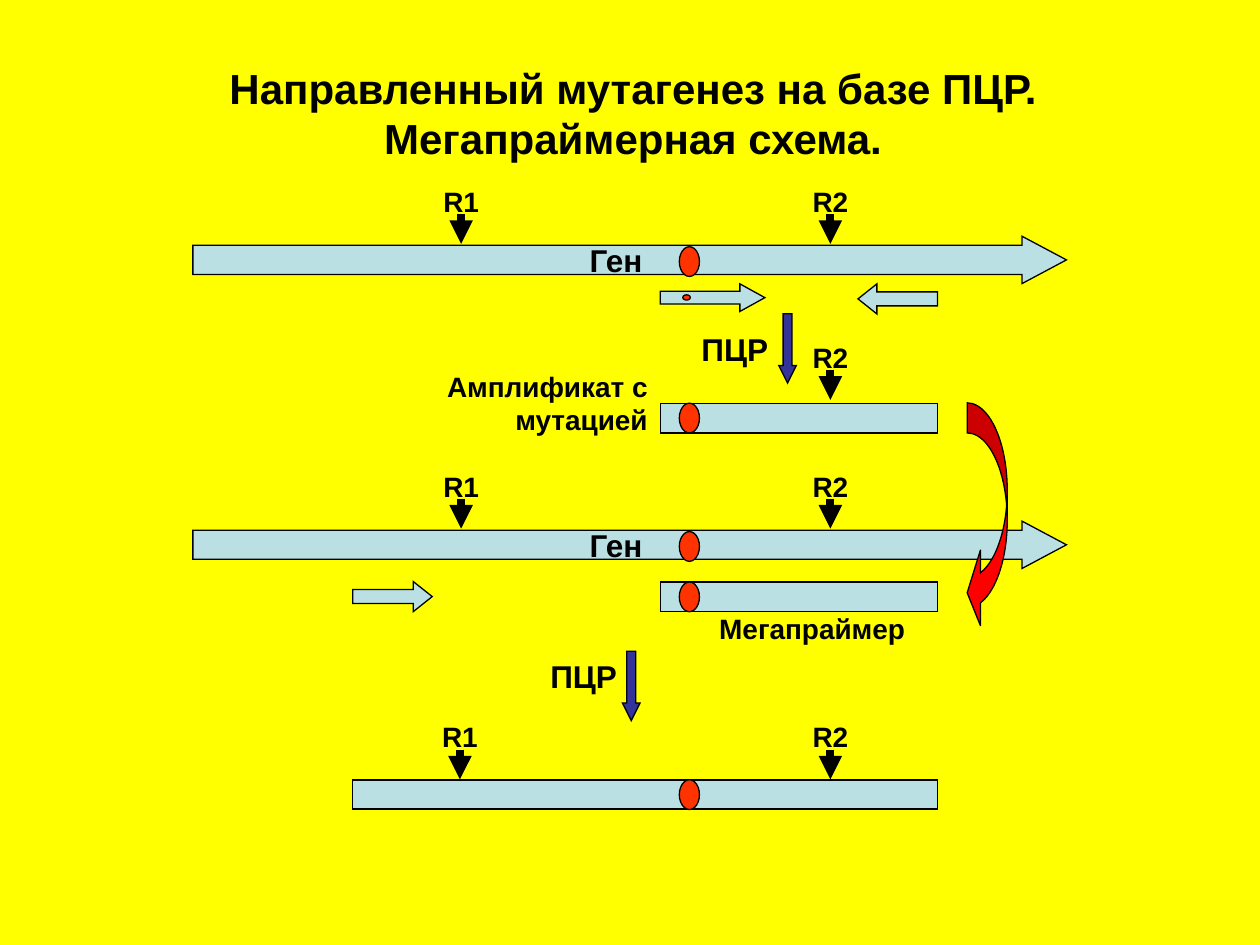
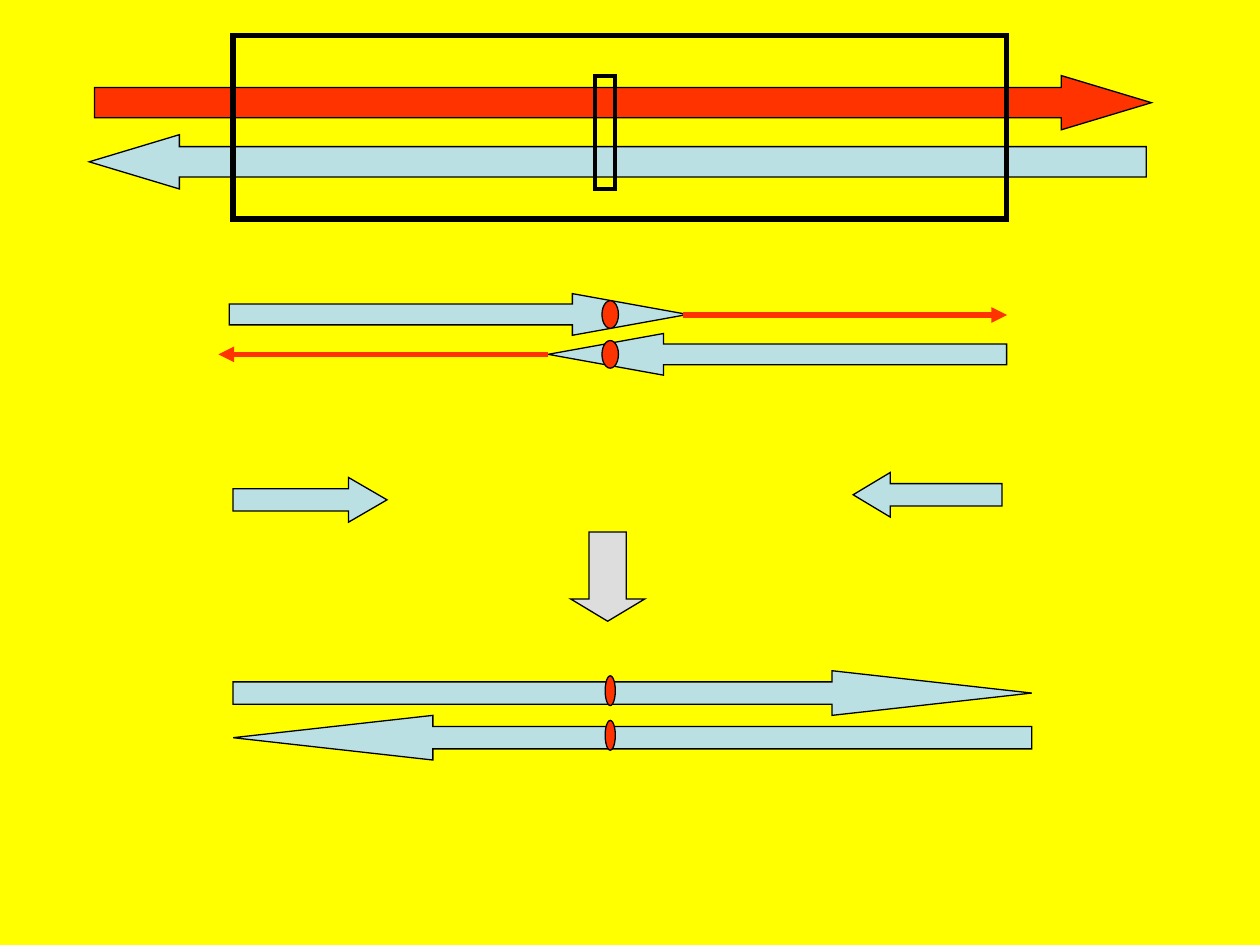
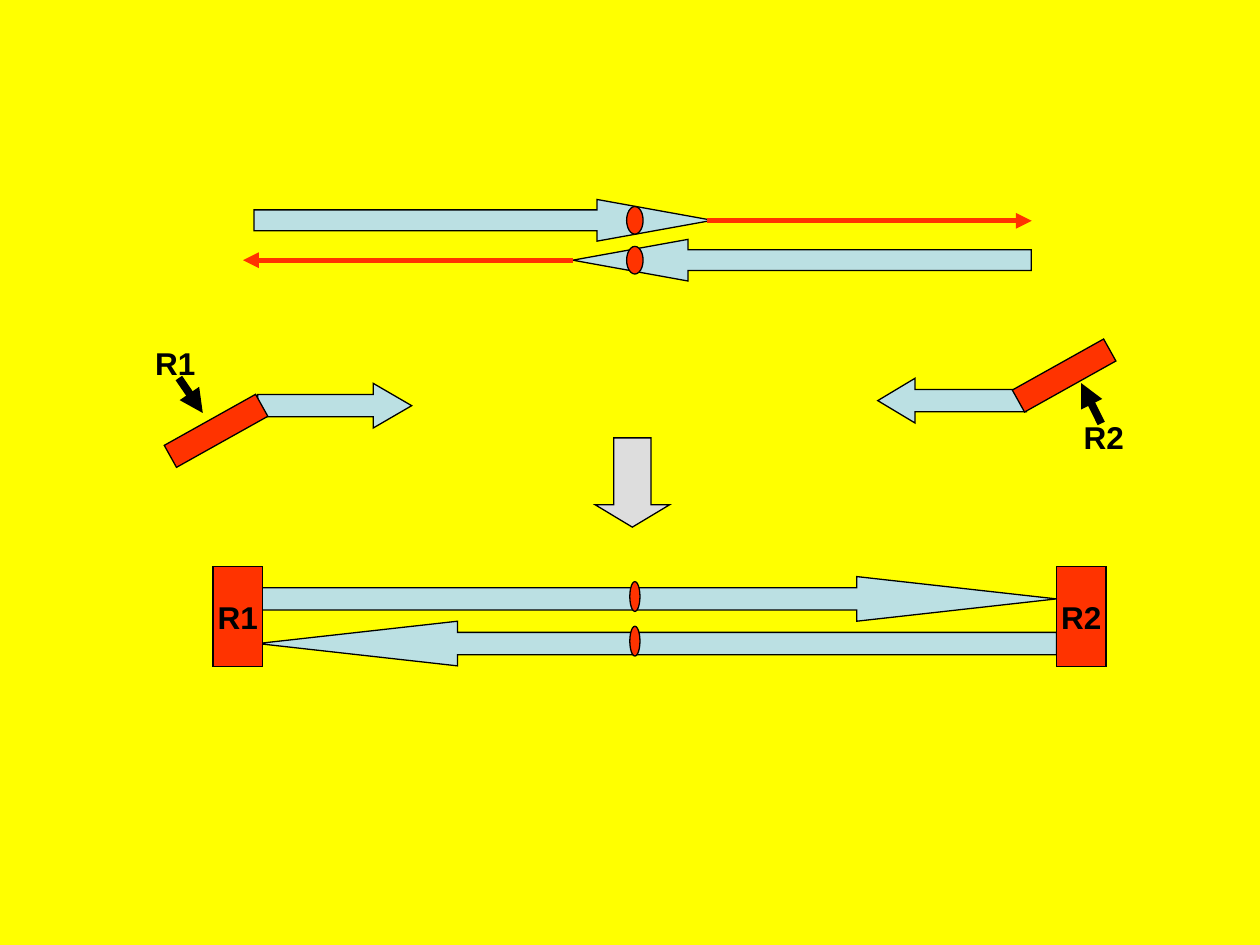
from lxml import etree
from pptx import Presentation
from pptx.dml.color import RGBColor
from pptx.enum import shapes, text
from pptx.oxml import ns
from pptx.util import Pt

FONT = "Arial"
YELLOW, BLACK, PALE, RED = "FFFF00", "000000", "BBE0E3", "FF3300"
NAVY, GREY, BRIGHT_RED = "333399", "DDDDDD", "FF0000"

KIND = shapes.MSO_SHAPE
RIGHT, LEFT, DOWN = KIND.RIGHT_ARROW, KIND.LEFT_ARROW, KIND.DOWN_ARROW
BAR, SPOT, CURVE = KIND.RECTANGLE, KIND.OVAL, KIND.CURVED_LEFT_ARROW
ALIGN = text.PP_ALIGN

# Shapes: kind, (left, top, width, height), fill, adjustments
# Labels: text, (left, top, width, height), size, alignment, wrap

TITLE = ["Направленный мутагенез на базе ПЦР.", "Мегапраймерная схема."]
GENE_TOPS = [135, 297.8]
MUTATION_TOPS = [141, 230.4, 303.8, 332.6, 445.6]
SITES = [  # name, x, top of the pointer
    ("R1", 263.5, 122.4), ("R2", 474.5, 122.4), ("R2", 474.5, 211.5),
    ("R1", 263.5, 285.1), ("R2", 474.5, 285.1),
    ("R1", 262.8, 428.4), ("R2", 474.5, 428.4),
]
MEGAPRIMER_PARTS = [
    (RIGHT, (377.3, 162.2, 59.8, 15.8), PALE, (0.463, 0.904)),
    (SPOT, (390.2, 168.5, 4.3, 3), RED, ()),
    (LEFT, (490.3, 162.2, 45.4, 17.2), PALE, (0.463, 0.629)),
    (DOWN, (445, 179.3, 10.1, 39.6), NAVY, (0.5, 1)),
    (BAR, (377.3, 230.4, 158.4, 17), PALE, ()),
    (RIGHT, (201.6, 332.3, 45.4, 17.2), PALE, (0.463, 0.629)),
    (BAR, (377.3, 332.6, 158.4, 17), PALE, ()),
    (DOWN, (355.7, 372.2, 10.1, 39.6), NAVY, (0.5, 1)),
    (BAR, (201.6, 445.7, 334.3, 16.6), PALE, ()),
]
CARRY_OVER = (CURVE, (552.7, 230.2, 22.9, 130.3), BRIGHT_RED, (0.75, 1.9, 0.333))
MEGAPRIMER_LABELS = [
    ("ПЦР", (393.8, 185, 52.6, 28.8), 18, ALIGN.LEFT, False),
    ("Амплификат с мутацией", (239, 207.4, 138.2, 46), 16, ALIGN.RIGHT, True),
    ("ПЦР", (307.4, 372.2, 52.6, 28.8), 18, ALIGN.LEFT, False),
    ("Мегапраймер", (403.9, 345.8, 120.5, 26.6), 16, ALIGN.LEFT, False),
]

TEMPLATE_STRANDS = [
    (RIGHT, (54, 43.2, 604, 31), RED, (0.558, 1.662)),
    (LEFT, (51, 77, 604, 31), PALE, (0.558, 1.662)),
]
FRAMES = [((340, 43.2, 11.5, 64.8), 2.25), ((133.2, 20.2, 442, 105), 3)]

OVERLAP_PARTS = [
    (RIGHT, (131, 167.8, 262, 23.8), PALE, (0.5, 2.768)),
    (SPOT, (344, 171.8, 9.4, 15.8), RED, ()),
    (LEFT, (313.2, 190.6, 262, 23.8), PALE, (0.5, 2.768)),
    (SPOT, (344, 194.6, 9.4, 15.8), RED, ()),
    (LEFT, (487.5, 270, 85, 25.5), PALE, (0.5, 0.833)),
    (RIGHT, (133.2, 272.9, 88, 25.5), PALE, (0.5, 0.861)),
    (RIGHT, (133.2, 383.3, 456.4, 25.5), PALE, (0.5, 4.475)),
    (LEFT, (133.2, 408.8, 456.4, 25.5), PALE, (0.5, 4.475)),
    (SPOT, (345.8, 386.2, 5.8, 17), RED, ()),
    (SPOT, (345.8, 411.7, 5.8, 17), RED, ()),
    (DOWN, (326, 304, 42.5, 51), GREY, (0.5, 0.3)),
]
EXTENSIONS = [(313.2, 202.5, 124.8, 202.5), (390.2, 180, 575.5, 180)]
TAILED_SHIFT = (14.1, -53.8)

TAILS = [(93.6, 239), (578.2, 207.4)]
TAIL_POINTERS = [(102.2, 216, 115.9, 236), (629.3, 242, 617.8, 218.9)]
TAIL_LABELS = [
    ("R1", (81.4, 193, 37.4, 28.8), 18, ALIGN.RIGHT, False),
    ("R2", (612, 235.6, 37.4, 28.8), 18, ALIGN.RIGHT, False),
]
END_SITES = [("R1", 121.8), ("R2", 603.8)]


def color(hex_text):
    return RGBColor.from_string(hex_text)


def write(frame, lines, size, align, wrap=False):
    frame.word_wrap = wrap
    for index, line in enumerate(lines):
        para = frame.add_paragraph() if index else frame.paragraphs[0]
        para.alignment = align
        span = para.add_run()
        span.text = line
        span.font.name, span.font.size, span.font.bold = FONT, Pt(size), True
        span.font.color.rgb = color(BLACK)


def add_label(page, label, area, size, align, wrap):
    lines = label if isinstance(label, list) else [label]
    box = page.shapes.add_textbox(*map(Pt, area))
    write(box.text_frame, lines, size, align, wrap)


def add_part(page, kind, area, fill, adjustments=(), line_width=0.75):
    """Add a shape with a sharp-cornered outline; a fill of None leaves it hollow."""
    shape = page.shapes.add_shape(kind, *map(Pt, area))
    shape.shadow.inherit = False
    for index, value in enumerate(adjustments):
        shape.adjustments[index] = value
    if fill:
        shape.fill.solid()
        shape.fill.fore_color.rgb = color(fill)
    else:
        shape.fill.background()
    shape.line.color.rgb = color(BLACK)
    shape.line.width = Pt(line_width)
    etree.SubElement(shape.line._get_or_add_ln(), ns.qn("a:miter"), lim="800000")
    return shape


def add_pointer(page, ends, hex_text, width):
    pointer = page.shapes.add_connector(shapes.MSO_CONNECTOR.STRAIGHT, *map(Pt, ends))
    pointer.line.color.rgb = color(hex_text)
    pointer.line.width = Pt(width)
    etree.SubElement(pointer.line._get_or_add_ln(), ns.qn("a:tailEnd"), type="triangle")
    etree.SubElement(pointer._element.spPr, ns.qn("a:effectLst"))


def add_site(page, name, x, top):
    """Add a restriction site: a short pointer with its name above."""
    add_pointer(page, (x, top, x, top + 17), BLACK, 4.5)
    add_label(page, name, (x - 17.3, top - 20.6, 34.6, 26.6), 16, ALIGN.CENTER, False)


def add_overlap_scheme(page, shift=(0, 0)):
    dx, dy = shift
    for kind, (left, top, width, height), fill, adjustments in OVERLAP_PARTS:
        add_part(page, kind, (left + dx, top + dy, width, height), fill, adjustments)
    for x1, y1, x2, y2 in EXTENSIONS:
        add_pointer(page, (x1 + dx, y1 + dy, x2 + dx, y2 + dy), RED, 3)


def build_megaprimer(page):
    add_label(page, TITLE, (122, 32, 479.5, 64.8), 24, ALIGN.CENTER, False)
    for top in GENE_TOPS:
        gene = add_part(page, RIGHT, (110.2, top, 499.2, 27), PALE, (0.614, 0.939))
        gene.text_frame.vertical_anchor = text.MSO_ANCHOR.MIDDLE
        write(gene.text_frame, ["Ген"], 18, ALIGN.CENTER)
    for part in MEGAPRIMER_PARTS:
        add_part(page, *part)
    for top in MUTATION_TOPS:
        add_part(page, SPOT, (388.2, top, 11.5, 17), RED)
    add_part(page, *CARRY_OVER)
    for site in SITES:
        add_site(page, *site)
    for label in MEGAPRIMER_LABELS:
        add_label(page, *label)


def build_overlap(page):
    for strand in TEMPLATE_STRANDS:
        add_part(page, *strand)
    for area, width in FRAMES:
        add_part(page, BAR, area, None, line_width=width)
    add_overlap_scheme(page)


def build_tailed_overlap(page):
    add_overlap_scheme(page, TAILED_SHIFT)
    for left, top in TAILS:
        add_part(page, BAR, (left, top, 59.8, 14.4), RED).rotation = 330.8
    for ends in TAIL_POINTERS:
        add_pointer(page, ends, BLACK, 4.5)
    for label in TAIL_LABELS:
        add_label(page, *label)
    for name, left in END_SITES:
        block = add_part(page, BAR, (left, 323.8, 28.3, 56.9), RED)
        block.text_frame.vertical_anchor = text.MSO_ANCHOR.MIDDLE
        write(block.text_frame, [name], 18, ALIGN.CENTER)


def main():
    deck = Presentation()
    deck.slide_width, deck.slide_height = Pt(720), Pt(540)
    background = deck.slide_master.background.fill
    background.solid()
    background.fore_color.rgb = color(YELLOW)
    for build in (build_megaprimer, build_overlap, build_tailed_overlap):
        build(deck.slides.add_slide(deck.slide_layouts[6]))
    deck.save("out.pptx")


if __name__ == "__main__":
    main()
